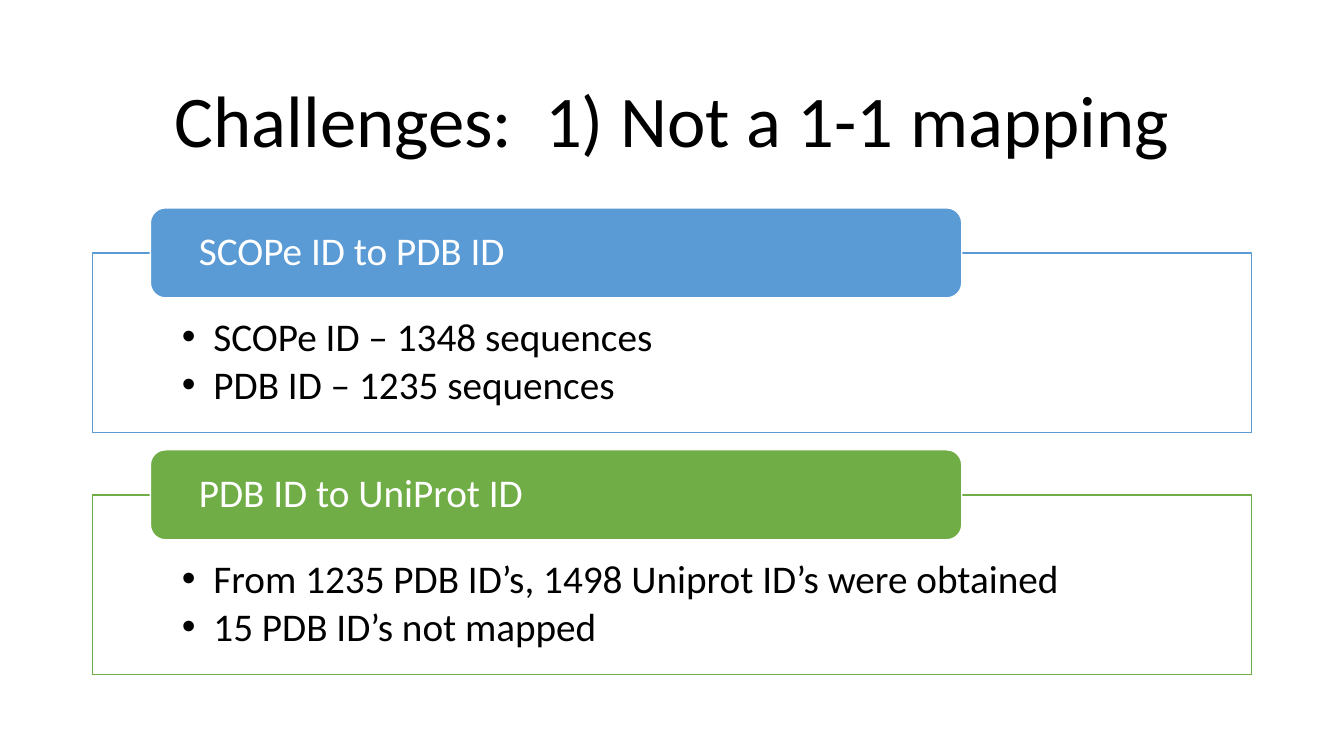
"""Build the slide about the two ID mappings that are not one to one."""
from lxml import etree
from pptx import Presentation
from pptx.dml.color import RGBColor
from pptx.enum.shapes import MSO_SHAPE
from pptx.enum.text import MSO_ANCHOR, MSO_AUTO_SIZE, PP_ALIGN
from pptx.oxml.ns import qn
from pptx.util import Pt

RECTANGLE, ROUNDED = MSO_SHAPE.RECTANGLE, MSO_SHAPE.ROUNDED_RECTANGLE
TOP, MIDDLE = MSO_ANCHOR.TOP, MSO_ANCHOR.MIDDLE
LEFT, CENTER = PP_ALIGN.LEFT, PP_ALIGN.CENTER
NO_FIT = MSO_AUTO_SIZE.NONE

COLORS = {"text": "000000", "white": "FFFFFF", "blue": "5B9BD5", "green": "70AD47"}
MAPPINGS = [
    ("blue", " SCOPe ID to PDB ID",
     ["SCOPe ID – 1348 sequences", "PDB ID – 1235 sequences"]),
    ("green", " PDB ID to UniProt ID",
     ["From 1235 PDB ID’s, 1498 Uniprot ID’s were obtained", "15 PDB ID’s not mapped"]),
]
FIRST_TOP, STEP = 148.5, 172.8
LABEL_HEIGHT, PANEL_HEIGHT = 64.3, 128.2


def add_box(page, kind, area, fill, line, insets, anchor):
    box = page.shapes.add_shape(kind, *[Pt(value) for value in area])
    box.shadow.inherit = False
    box.fill.solid()
    box.fill.fore_color.rgb = RGBColor.from_string(COLORS[fill])
    box.line.color.rgb = RGBColor.from_string(COLORS[line])
    box.line.width = Pt(1)
    frame = box.text_frame
    frame.word_wrap = True
    frame.vertical_anchor = anchor
    frame.margin_left = frame.margin_right = Pt(insets[0])
    frame.margin_top, frame.margin_bottom = Pt(insets[1]), Pt(insets[2])
    return box


def write(para, text, size, color, align, space_after=0):
    para.alignment = align
    para.line_spacing = 0.9
    para.space_after = Pt(space_after)
    span = para.add_run()
    span.text = text
    span.font.name = "Calibri"
    span.font.size = Pt(size)
    span.font.color.rgb = RGBColor.from_string(COLORS[color])


deck = Presentation()
deck.slide_width, deck.slide_height = Pt(960), Pt(540)
page = deck.slides.add_slide(deck.slide_layouts[5])

title = page.shapes.title
title.left, title.top, title.width, title.height = Pt(66), Pt(44), Pt(828), Pt(89)
title.text_frame.auto_size = NO_FIT
title.text_frame.vertical_anchor = MIDDLE
write(title.text_frame.paragraphs[0], "Challenges:  1) Not a 1-1 mapping", 52, "text", CENTER)

for row, (color, heading, facts) in enumerate(MAPPINGS):
    label_top = FIRST_TOP + row * STEP
    panel_area = (66, label_top + LABEL_HEIGHT / 2, 828, PANEL_HEIGHT)
    panel = add_box(page, RECTANGLE, panel_area, "white", color, (64, 46, 16), TOP)
    panel_color = panel.fill._xPr.find(qn("a:solidFill"))[0]
    etree.SubElement(panel_color, qn("a:alpha"), val="90000")
    for index, fact in enumerate(facts):
        frame = panel.text_frame
        para = frame.add_paragraph() if index else frame.paragraphs[0]
        para.level = 1
        write(para, fact, 28, "text", LEFT, 4)
        properties = para._p.get_or_add_pPr()
        properties.set("marL", str(Pt(22.5)))
        properties.set("indent", str(-Pt(22.5)))
        etree.SubElement(properties, qn("a:buFont"), typeface="Arial")
        etree.SubElement(properties, qn("a:buChar"), char="•")

    label_area = (107.4, label_top, 579.6, LABEL_HEIGHT)
    label = add_box(page, ROUNDED, label_area, color, "white", (25.2, 0, 0), MIDDLE)
    write(label.text_frame.paragraphs[0], heading, 28, "white", LEFT)

deck.save("out.pptx")
